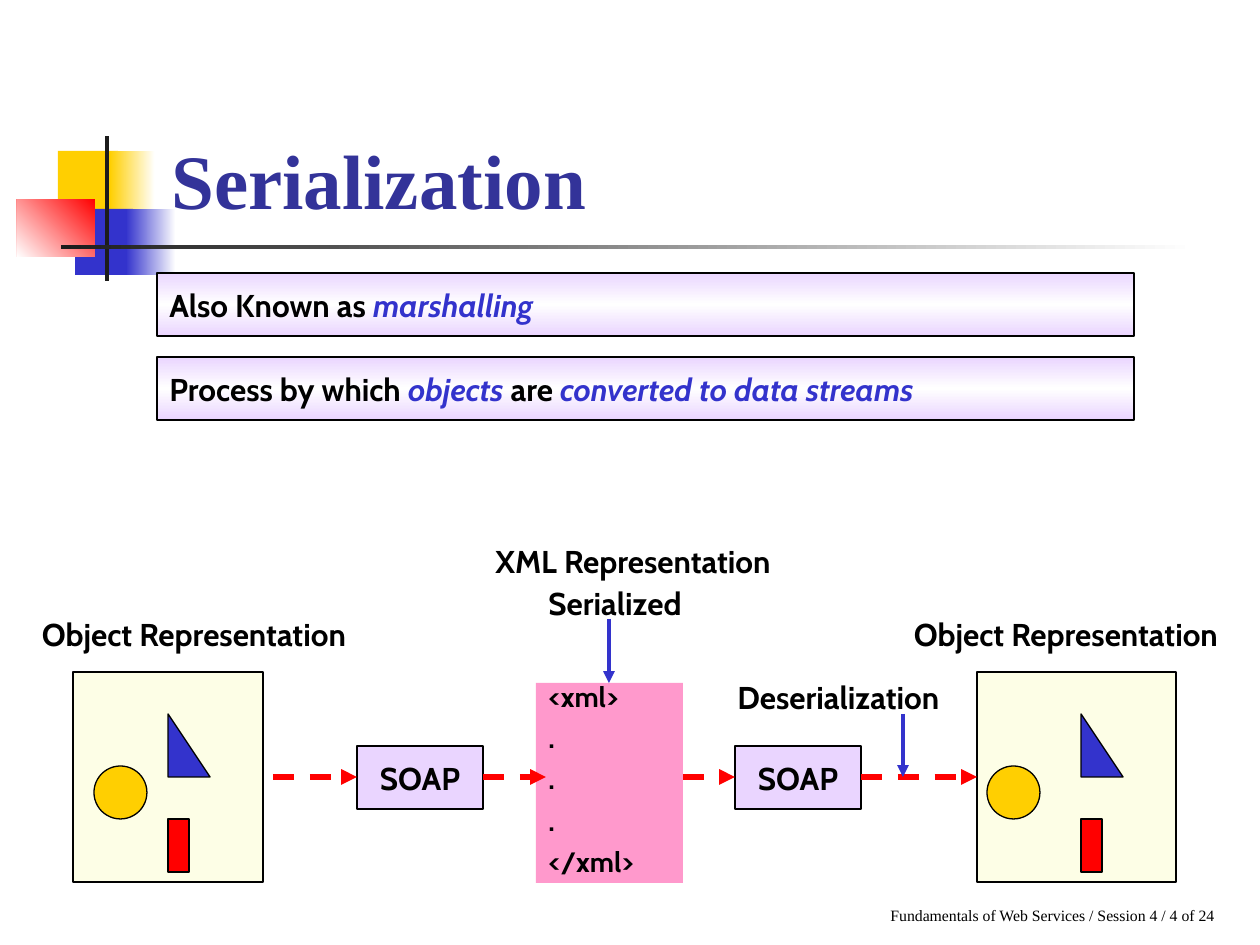
from dataclasses import dataclass

from lxml import etree
from pptx import Presentation
from pptx.dml.color import RGBColor
from pptx.enum.dml import MSO_LINE
from pptx.enum.shapes import MSO_CONNECTOR, MSO_SHAPE
from pptx.enum.text import MSO_ANCHOR, MSO_AUTO_SIZE, PP_ALIGN
from pptx.oxml.ns import qn
from pptx.util import Emu, Pt

RECT, OVAL, TRIANGLE = MSO_SHAPE.RECTANGLE, MSO_SHAPE.OVAL, MSO_SHAPE.RIGHT_TRIANGLE
STRAIGHT, DASH = MSO_CONNECTOR.STRAIGHT, MSO_LINE.DASH
TOP, MIDDLE, BOTTOM = MSO_ANCHOR.TOP, MSO_ANCHOR.MIDDLE, MSO_ANCHOR.BOTTOM
LEFT, CENTER, JUSTIFY = PP_ALIGN.LEFT, PP_ALIGN.CENTER, PP_ALIGN.JUSTIFY
GROW = MSO_AUTO_SIZE.SHAPE_TO_FIT_TEXT


@dataclass(frozen=True)
class Theme:
    serif: str = "Times New Roman"
    sans: str = "Cabin"
    title_size: int = 44
    body_size: int = 18
    code_size: int = 16
    footer_size: int = 9
    outline: float = 0.75
    flow: float = 3
    pointer: float = 2.25
    title: str = "333399"
    ink: str = "000000"
    white: str = "FFFFFF"
    yellow: str = "FFCF01"
    blue: str = "3333CC"
    red: str = "FF0000"
    dark: str = "1C1C1C"
    lilac: str = "EAD5FF"
    cream: str = "FDFEE6"
    pink: str = "FF99CC"


THEME = Theme()
PX_PER_INCH = 126

TITLE = ("Serialization", (159, 29, 1074, 202))
FOOTER = ("Fundamentals of Web Services / Session 4 / 4 of 24", (878, 900, 408, 31))
ORNAMENTS = [
    ((58, 151, 60, 66), [THEME.yellow], 0),
    ((110, 151, 45, 66), [THEME.white, THEME.yellow], 180),
    ((75, 209, 58, 66), [THEME.blue], 0),
    ((126, 209, 50, 66), [THEME.white, THEME.blue], 180),
    ((17, 199, 78, 58), [THEME.red, THEME.white], 135),
    ((105, 136, 4, 145), [THEME.dark], 0),
    ((61, 245, 1134, 4), [THEME.white, THEME.dark], 180),
]
DEFINITIONS = [
    [("Also Known as ", False), ("marshalling", True)],
    [("Process by which ", False), ("objects", True), (" are ", False),
     ("converted to data streams", True)],
]
LABELS = [
    ("Object Representation", (0, 609, 388), CENTER),
    ("Object Representation", (872, 609, 388), CENTER),
    ("XML Representation", (483, 536, 357), LEFT),
    ("Serialized", (536, 578, 252), LEFT),
    ("Deserialization", (725, 672, 273), LEFT),
]
OBJECT_PANELS = [
    {"left": 73, "width": 190, "circle": 94, "column": 168},
    {"left": 977, "width": 199, "circle": 987, "column": 1081},
]
XML_LINES = ["<xml>", ".", ".", ".", "</xml>"]
SOAP_LEFTS = [357, 735]
FLOW_Y = 777
FLOW_SPANS = [(273, 357), (483, 546), (683, 735), (861, 977)]
POINTERS = [(609, 619, 683), (903, 714, 777)]


def px(length):
    return Emu(round(length * 914400 / PX_PER_INCH))


def rgb(color):
    return RGBColor.from_string(color)


def paint(shape, colors, angle):
    if len(colors) == 1:
        shape.fill.solid()
        shape.fill.fore_color.rgb = rgb(colors[0])
        return
    shape.fill.gradient()
    shape.fill.gradient_angle = 360 - angle
    stops = shape.element.spPr.find(".//" + qn("a:gsLst"))
    for stop in list(stops):
        stops.remove(stop)
    for index, color in enumerate(colors):
        position = str(100000 * index // (len(colors) - 1))
        stop = etree.SubElement(stops, qn("a:gs"), pos=position)
        etree.SubElement(stop, qn("a:srgbClr"), val=color)


def add_block(slide, kind, box, colors, angle=0, outlined=True):
    block = slide.shapes.add_shape(kind, *map(px, box))
    block.shadow.inherit = False
    paint(block, colors, angle)
    if outlined:
        block.line.color.rgb = rgb(THEME.ink)
        block.line.width = Pt(THEME.outline)
    else:
        block.line.fill.background()
    return block


def write(frame, paragraphs, size, font=THEME.sans, color=THEME.ink, bold=True,
          align=LEFT, anchor=TOP, wrap=True):
    frame.word_wrap = wrap
    frame.vertical_anchor = anchor
    for index, parts in enumerate(paragraphs):
        paragraph = frame.add_paragraph() if index else frame.paragraphs[0]
        paragraph.alignment = align
        for text, emphasized in parts:
            run = paragraph.add_run()
            run.text = text
            run.font.name = font
            run.font.size = Pt(size)
            run.font.bold = bold
            run.font.italic = emphasized
            run.font.color.rgb = rgb(THEME.blue if emphasized else color)


def add_label(slide, text, box, size, **style):
    frame = slide.shapes.add_textbox(*map(px, box)).text_frame
    write(frame, [[(text, False)]], size, **style)
    return frame


def add_arrow(slide, start, end, color, width, dash=None):
    arrow = slide.shapes.add_connector(STRAIGHT, *map(px, start + end))
    arrow.line.color.rgb = rgb(color)
    arrow.line.width = Pt(width)
    if dash:
        arrow.line.dash_style = dash
    properties = arrow.element.spPr
    etree.SubElement(properties.find(qn("a:ln")), qn("a:tailEnd"), type="triangle")
    etree.SubElement(properties, qn("a:effectLst"))


def add_heading(slide):
    for box, colors, angle in ORNAMENTS:
        add_block(slide, RECT, box, colors, angle, outlined=False)
    footer = add_label(slide, *FOOTER, THEME.footer_size, font=THEME.serif,
                       bold=False, wrap=False)
    footer.auto_size = GROW
    add_label(slide, *TITLE, THEME.title_size, font=THEME.serif,
              color=THEME.title, anchor=BOTTOM)


def add_definitions(slide):
    for index, parts in enumerate(DEFINITIONS):
        bar = add_block(slide, RECT, (157, 273 + 84 * index, 977, 63),
                        [THEME.lilac, THEME.white, THEME.lilac], 90)
        write(bar.text_frame, [parts], THEME.body_size, align=JUSTIFY,
              anchor=MIDDLE, wrap=False)


def add_diagram(slide):
    for panel in OBJECT_PANELS:
        column = panel["column"]
        for kind, box, color in [
            (RECT, (panel["left"], 672, panel["width"], 210), THEME.cream),
            (OVAL, (panel["circle"], 766, 53, 53), THEME.yellow),
            (RECT, (column, 819, 21, 53), THEME.red),
            (TRIANGLE, (column, 714, 42, 63), THEME.blue),
        ]:
            add_block(slide, kind, box, [color])

    for left in SOAP_LEFTS:
        soap = add_block(slide, RECT, (left, 746, 126, 63), [THEME.lilac])
        write(soap.text_frame, [[("SOAP", False)]], THEME.body_size,
              align=CENTER, anchor=MIDDLE, wrap=False)

    document = add_block(slide, RECT, (536, 683, 147, 200), [THEME.pink], outlined=False)
    write(document.text_frame, [[(line, False)] for line in XML_LINES], THEME.code_size)
    for index, paragraph in enumerate(document.text_frame.paragraphs):
        paragraph.line_spacing = 0.7
        paragraph.space_before = Pt(10 if index else 0)

    for start, end in FLOW_SPANS:
        add_arrow(slide, (start, FLOW_Y), (end, FLOW_Y), THEME.red, THEME.flow, DASH)
    for text, (left, top, width), align in LABELS:
        add_label(slide, text, (left, top, width, 50), THEME.body_size, align=align)
    for x, top, bottom in POINTERS:
        add_arrow(slide, (x, top), (x, bottom), THEME.blue, THEME.pointer)


def main():
    deck = Presentation()
    deck.slide_width, deck.slide_height = px(1260), px(945)
    slide = deck.slides.add_slide(deck.slide_layouts[6])
    add_heading(slide)
    add_definitions(slide)
    add_diagram(slide)
    deck.save("out.pptx")


if __name__ == "__main__":
    main()
